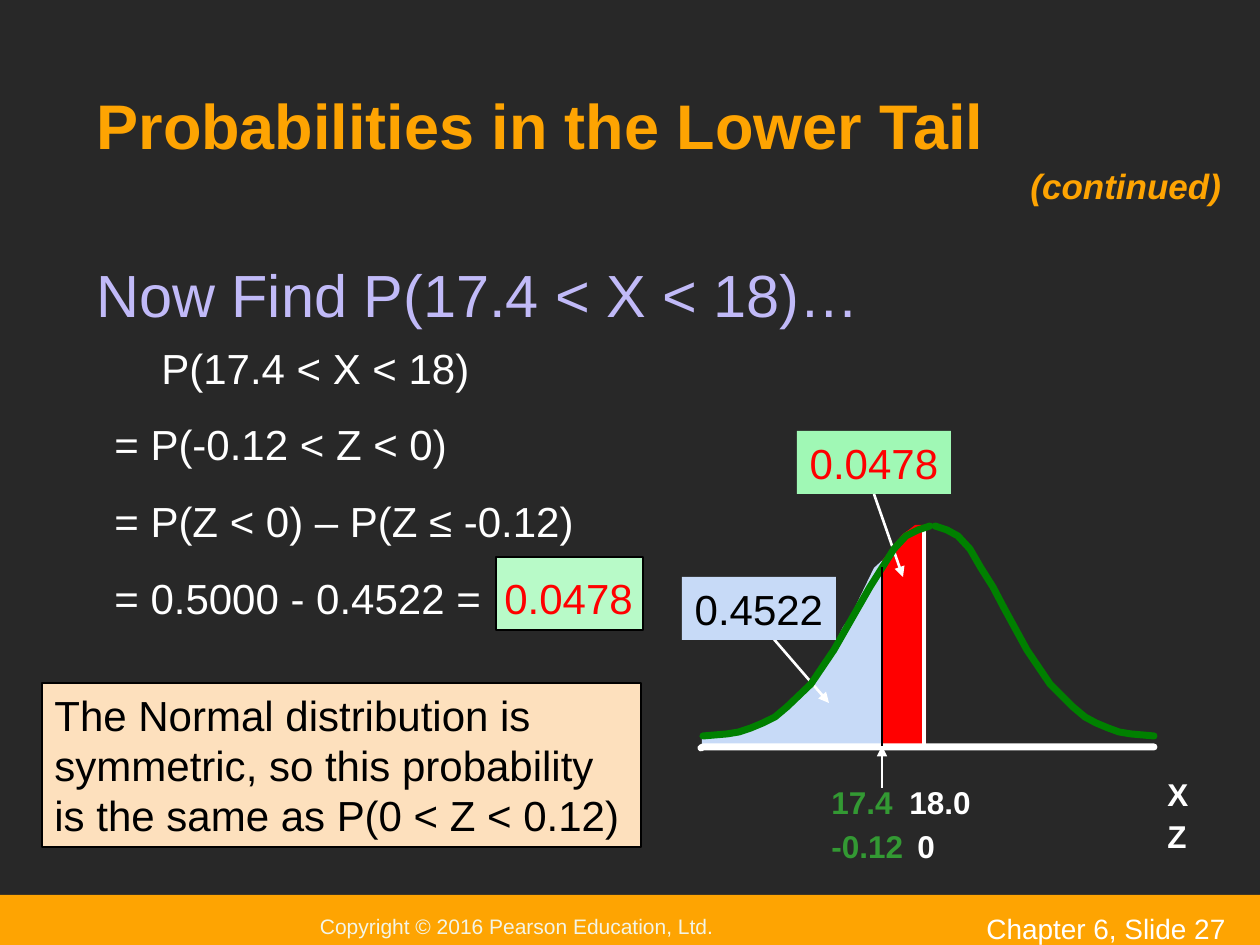
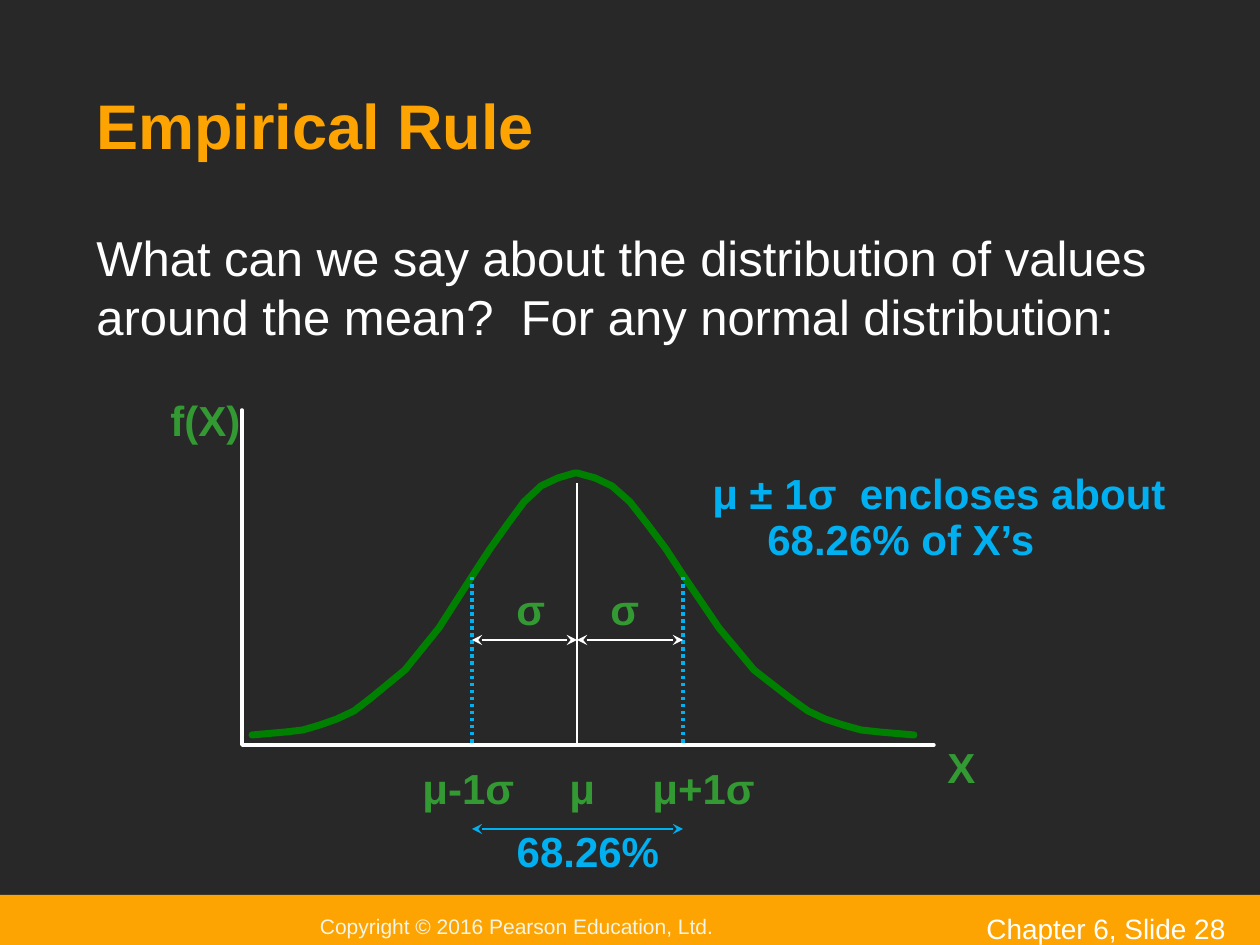
from lxml import etree
from pptx import Presentation
from pptx.dml.color import RGBColor
from pptx.enum.dml import MSO_LINE
from pptx.enum.shapes import MSO_CONNECTOR, MSO_SHAPE
from pptx.enum.text import MSO_ANCHOR, PP_ALIGN
from pptx.oxml.ns import qn
from pptx.util import Emu, Pt

STRAIGHT = MSO_CONNECTOR.STRAIGHT
RECTANGLE = MSO_SHAPE.RECTANGLE
DOTTED = MSO_LINE.ROUND_DOT
TOP, MIDDLE, BOTTOM = MSO_ANCHOR.TOP, MSO_ANCHOR.MIDDLE, MSO_ANCHOR.BOTTOM
LEFT, CENTER = PP_ALIGN.LEFT, PP_ALIGN.CENTER

DARK = RGBColor(0x28, 0x28, 0x28)
ORANGE = RGBColor(0xFE, 0xA4, 0x02)
WHITE = RGBColor(0xFF, 0xFF, 0xFF)
BLACK = RGBColor(0, 0, 0)
CREAM = RGBColor(0xF3, 0xF5, 0xE7)
LAVENDER = RGBColor(0xC1, 0xBA, 0xF8)
PALE_BLUE = RGBColor(0xC7, 0xDA, 0xF7)
SKY = RGBColor(0x00, 0xB0, 0xF0)
RED = RGBColor(0xFF, 0, 0)
MINT = RGBColor(0xB8, 0xFA, 0xC8)
LABEL_MINT = RGBColor(0xA0, 0xF8, 0xB5)
PEACH = RGBColor(0xFD, 0xE0, 0xBD)
GREEN = RGBColor(0x33, 0x99, 0x33)
CURVE_GREEN = RGBColor(0x00, 0x80, 0x00)

FONT = "Arial"
PX = 914400 / 126
SLIDE_WIDTH, SLIDE_HEIGHT = 1260, 945

TITLE_AREA = (84, 32, 1092, 136)
FOOTER_BAND = (0, 895, 1260, 62)
COPYRIGHT_INDENT = 320
CHAPTER_AREA = (974, 905, 286, 33)
COPYRIGHT = "Copyright © 2016 Pearson Education, Ltd."

HALF_BELL = [
    (0, 0), (2, 0.01), (3, 0.02), (4, 0.04), (5, 0.06), (6, 0.09),
    (7, 0.14), (9, 0.25), (11, 0.41), (13, 0.61), (14, 0.71), (15, 0.8),
    (16, 0.89), (17, 0.95), (18, 0.98), (19, 1),
]

TAIL_BELL = {"halves": [(703, 930), (1154, 935)], "base": 736, "height": 210}
RULE_BELL = {"halves": [(252, 575), (914, 577)], "base": 735, "height": 262}

LOWER_AREA = [
    (886, 746), (886, 557), (874, 568), (859, 599), (851, 616), (843, 627),
    (832, 650), (819, 669), (803, 693), (788, 706), (767, 721), (736, 731),
    (702, 736), (702, 746),
]
MIDDLE_AREA = [
    (883, 746), (882, 561), (888, 553), (896, 542), (903, 534), (910, 529),
    (915, 525), (926, 525), (926, 746),
]

STEPS = [
    [("P(17.4 < X < 18)", WHITE)],
    [("= P(-0.12 < Z < 0)", WHITE)],
    [("= P(Z < 0) – P(Z ≤ -0.12)", WHITE)],
    [("= 0.5000 - 0.4522 =  ", WHITE), ("0.0478", RED)],
]
STEPS_AREA = (102, 336, 546, 294)
STEPS_INDENT = 47
NOTE = ("The Normal distribution is symmetric, so this probability "
        "is the same as P(0 < Z < 0.12)")

TAIL_LABELS = [
    ("X", (1155, 769, 53, 50), WHITE),
    ("Z", (1155, 811, 53, 50), WHITE),
    ("17.4", (819, 777, 100, 50), GREEN),
    ("18.0", (897, 777, 100, 50), WHITE),
    ("-0.12", (819, 821, 105, 50), GREEN),
    ("0", (905, 821, 52, 50), WHITE),
]

QUESTION = ("What can we say about the distribution of values around "
            "the mean?  For any normal distribution:")
ENCLOSES = "μ ± 1σ  encloses about 68.26% of X’s"
RULE_LABELS = [
    ("f(X)", (158, 388, 106, 63)),
    ("X", (935, 735, 60, 63)),
    ("μ-1σ", (410, 756, 130, 63)),
    ("μ", (557, 756, 66, 63)),
    ("μ+1σ", (640, 756, 147, 63)),
    ("σ", (504, 577, 60, 63)),
    ("σ", (598, 577, 60, 63)),
]
MEAN, LOW, HIGH = 577, 472, 683
AXIS_Y = 746


def px(value):
    return Emu(round(value * PX))


def area(values):
    return [px(value) for value in values]


def write_spans(para, spans, size, **formats):
    for text, color in spans:
        span = para.add_run()
        span.text = text
        settings = {"name": FONT, "size": Pt(size), "bold": False, **formats}
        for name, value in settings.items():
            setattr(span.font, name, value)
        span.font.color.rgb = color


def write(box, paras, size, anchor=TOP, align=LEFT, wrap=True, gap=0, **formats):
    frame = box.text_frame
    frame.word_wrap = wrap
    frame.vertical_anchor = anchor
    for index, spans in enumerate(paras):
        para = frame.add_paragraph() if index else frame.paragraphs[0]
        para.alignment = align
        para.space_before = Pt(gap if index else 0)
        write_spans(para, spans, size, **formats)
    return box


def add_text(page, text, place, size, color, **formats):
    box = page.shapes.add_textbox(*area(place))
    return write(box, [[(text, color)]], size, **formats)


def indent(para, margin, first=0):
    properties = para._p.get_or_add_pPr()
    properties.set("marL", str(px(margin)))
    properties.set("indent", str(px(first)))


def paint(shape, fill=None, line=None, width=1):
    shape.shadow.inherit = False
    if fill is None:
        shape.fill.background()
    else:
        shape.fill.solid()
        shape.fill.fore_color.rgb = fill
    if line is None:
        shape.line.fill.background()
    else:
        shape.line.color.rgb = line
        shape.line.width = Pt(width)
    return shape


def add_rectangle(page, place, fill, line=None, width=1):
    shape = page.shapes.add_shape(RECTANGLE, *area(place))
    return paint(shape, fill, line, width)


def add_outline(page, points, close=False, **look):
    builder = page.shapes.build_freeform(*points[0], scale=PX)
    builder.add_line_segments(points[1:], close=close)
    shape = paint(builder.convert_to_shape(), **look)
    if not close:
        shape.line._get_or_add_ln().set("cap", "rnd")
    return shape


def add_line(page, start, end, color, width, dash=None, **arrows):
    line = page.shapes.add_connector(STRAIGHT, *area(start + end))
    line.line.color.rgb = color
    line.line.width = Pt(width)
    if dash is not None:
        line.line.dash_style = dash
    for side in ("head", "tail"):
        if side in arrows:
            tag = qn(f"a:{side}End")
            etree.SubElement(line.line._get_or_add_ln(), tag, type=arrows[side])
    etree.SubElement(line._element.spPr, qn("a:effectLst"))
    return line


def add_bell(page, bell):
    last = HALF_BELL[-1][0]
    for foot, peak in bell["halves"]:
        points = [(round(foot + (peak - foot) * step / last),
                   round(bell["base"] - bell["height"] * rise))
                  for step, rise in HALF_BELL]
        add_outline(page, points, line=CURVE_GREEN, width=4)


def add_value_label(page, text, place, fill, color):
    box = add_rectangle(page, place, fill)
    return write(box, [[(text, color)]], 24, align=CENTER, wrap=False)


def add_page(deck, title, number):
    page = deck.slides.add_slide(deck.slide_layouts[5])
    heading = page.shapes.title
    heading.left, heading.top, heading.width, heading.height = area(TITLE_AREA)
    write(heading, [[(title, ORANGE)]], 36, anchor=BOTTOM, bold=True)
    band = add_rectangle(page, FOOTER_BAND, ORANGE)
    write(band, [[(COPYRIGHT, CREAM)]], 12, anchor=MIDDLE)
    band.text_frame.margin_left = px(COPYRIGHT_INDENT)
    add_text(page, f"Chapter 6, Slide {number}", CHAPTER_AREA, 16, WHITE)
    return page


def build_lower_tail(deck):
    page = add_page(deck, "Probabilities in the Lower Tail", 27)
    add_text(page, "(continued)", (1018, 158, 226, 55), 20, ORANGE,
             bold=True, italic=True)
    add_text(page, "Now Find P(17.4 < X < 18)…", (84, 252, 1112, 80), 34, LAVENDER)

    add_outline(page, LOWER_AREA, close=True, fill=PALE_BLUE)
    add_line(page, (766, 630), (829, 703), WHITE, 1.5, tail="triangle")
    add_outline(page, MIDDLE_AREA, close=True, fill=RED)
    middle_label = add_value_label(page, "0.0478", (797, 431, 154, 63),
                                   LABEL_MINT, RED)
    pointer = add_line(page, (874, 494), (903, 577), WHITE, 1.5, tail="triangle")
    pointer.begin_connect(middle_label, 2)
    add_line(page, (924, 525), (924, AXIS_Y), WHITE, 2.5)
    add_bell(page, TAIL_BELL)
    add_outline(page, [(701, 748), (703, 747), (1154, 747)], line=WHITE, width=4)
    add_line(page, (882, 788), (882, AXIS_Y), WHITE, 1, tail="triangle")
    add_line(page, (882, 567), (882, AXIS_Y), BLACK, 1)
    add_value_label(page, "0.4522", (682, 577, 154, 63), PALE_BLUE, BLACK)
    for text, place, color in TAIL_LABELS:
        add_text(page, text, place, 18, color, bold=True)

    add_rectangle(page, (496, 557, 147, 73), MINT, BLACK, 1.5)
    steps = write(page.shapes.add_textbox(*area(STEPS_AREA)), STEPS, 24, gap=15)
    indent(steps.text_frame.paragraphs[0], STEPS_INDENT)
    note = add_rectangle(page, (42, 683, 599, 164), PEACH, BLACK)
    write(note, [[(NOTE, BLACK)]], 24)


def build_empirical_rule(deck):
    page = add_page(deck, "Empirical Rule", 28)
    add_text(page, QUESTION, (84, 221, 1092, 131), 28, WHITE)
    encloses = add_text(page, ENCLOSES, (700, 466, 500, 111), 24, SKY, bold=True)
    para = encloses.text_frame.paragraphs[0]
    para.line_spacing = 0.92
    indent(para, 55, -55)

    add_outline(page, [(242, 410), (242, 745), (934, 745)], line=WHITE, width=2)
    add_bell(page, RULE_BELL)
    add_line(page, (MEAN, 483), (MEAN, AXIS_Y), WHITE, 1)
    for edge in (LOW, HIGH):
        add_line(page, (edge, 577), (edge, AXIS_Y), SKY, 2, dash=DOTTED)
    for start, end, y, color in [(LOW, MEAN, 640, WHITE), (MEAN, HIGH, 640, WHITE),
                                 (LOW, HIGH, 829, SKY)]:
        add_line(page, (start, y), (end, y), color, 1, head="stealth", tail="stealth")
    for text, place in RULE_LABELS:
        add_text(page, text, place, 24, GREEN, bold=True)
    add_text(page, "68.26%", (494, 819, 188, 63), 24, SKY, align=CENTER, bold=True)


def main():
    deck = Presentation()
    deck.slide_width, deck.slide_height = px(SLIDE_WIDTH), px(SLIDE_HEIGHT)
    background = deck.slide_master.background.fill
    background.solid()
    background.fore_color.rgb = DARK
    build_lower_tail(deck)
    build_empirical_rule(deck)
    deck.save("out.pptx")


if __name__ == "__main__":
    main()
